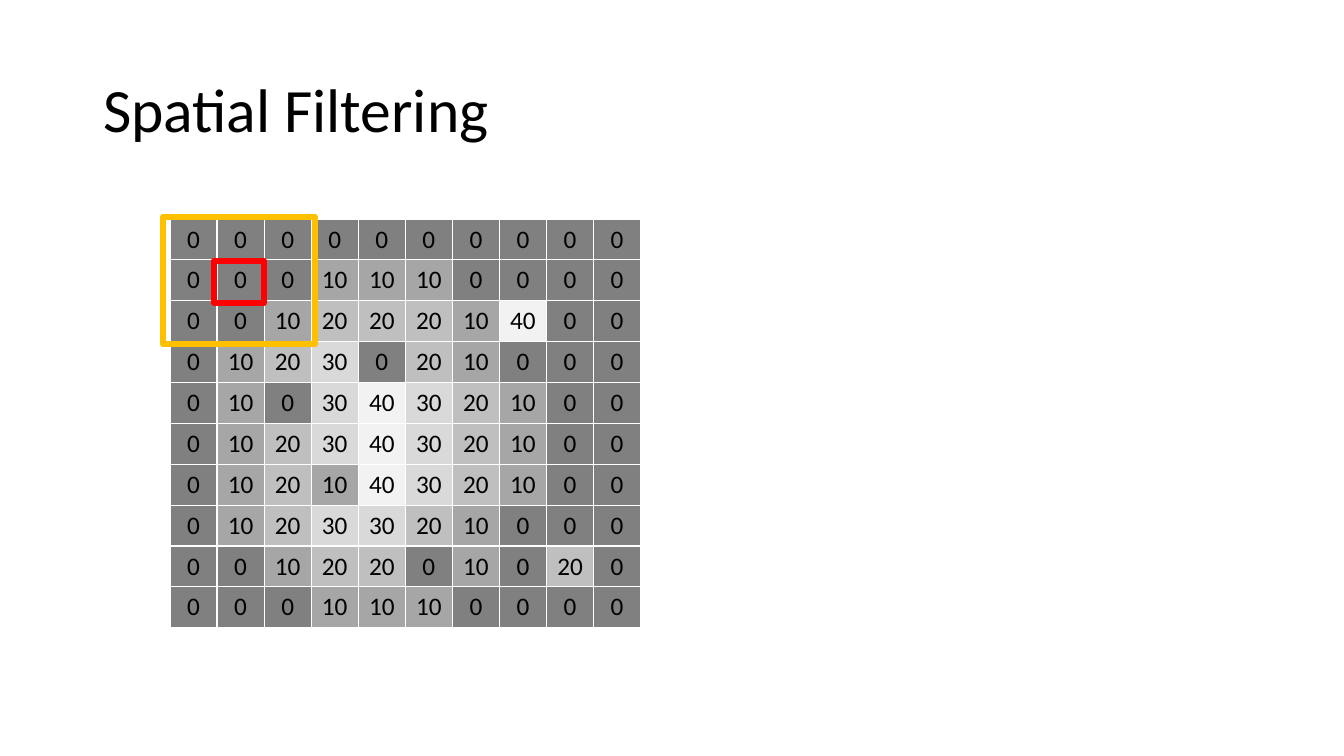
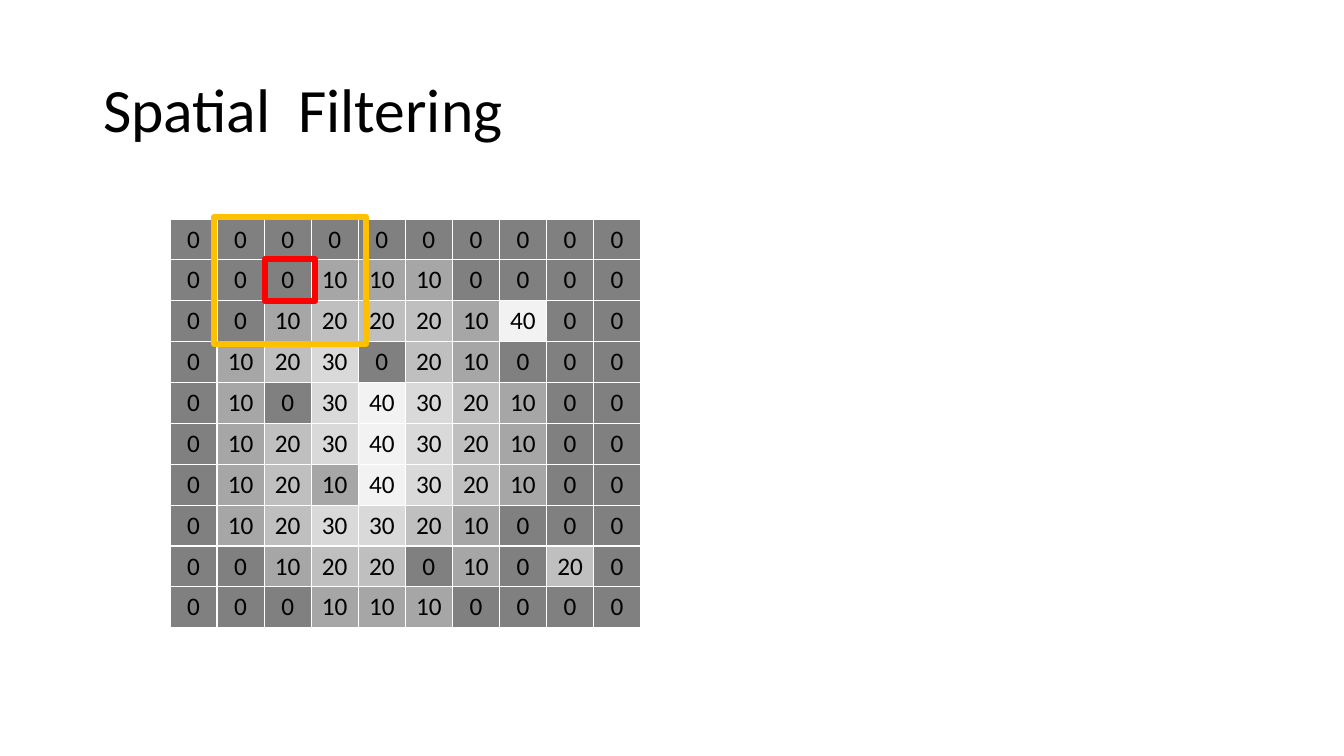
from pptx import Presentation
from pptx.dml.color import RGBColor
from pptx.enum.shapes import MSO_SHAPE as Shape
from pptx.enum.text import MSO_ANCHOR as Anchor, PP_ALIGN as Align
from pptx.oxml import parse_xml
from pptx.oxml.ns import nsdecls
from pptx.util import Emu, Pt

SCALE = 914400 / 100.8
FONT = "Calibri"
BLACK = RGBColor(0x00, 0x00, 0x00)
WHITE = RGBColor(0xFF, 0xFF, 0xFF)
RED = RGBColor(0xFF, 0x00, 0x00)
GOLD = RGBColor(0xFF, 0xC0, 0x00)
GRAYS = {
    0: RGBColor(0x80, 0x80, 0x80),
    10: RGBColor(0xA6, 0xA6, 0xA6),
    20: RGBColor(0xBF, 0xBF, 0xBF),
    30: RGBColor(0xD9, 0xD9, 0xD9),
    40: RGBColor(0xF2, 0xF2, 0xF2),
}
PIXELS = [
    [0, 0, 0, 0, 0, 0, 0, 0, 0, 0],
    [0, 0, 0, 10, 10, 10, 0, 0, 0, 0],
    [0, 0, 10, 20, 20, 20, 10, 40, 0, 0],
    [0, 10, 20, 30, 0, 20, 10, 0, 0, 0],
    [0, 10, 0, 30, 40, 30, 20, 10, 0, 0],
    [0, 10, 20, 30, 40, 30, 20, 10, 0, 0],
    [0, 10, 20, 10, 40, 30, 20, 10, 0, 0],
    [0, 10, 20, 30, 30, 20, 10, 0, 0, 0],
    [0, 0, 10, 20, 20, 0, 10, 0, 20, 0],
    [0, 0, 0, 10, 10, 10, 0, 0, 0, 0],
]
TITLE = (93, 40, 1159, 146)
GRID = (170, 219, 471, 403)
STEP = 51


def px(*sizes):
    """Turn pixel lengths into EMU."""
    return [Emu(round(size * SCALE)) for size in sizes]


def write(frame, text, size=18, color=BLACK, align=Align.LEFT, space=None):
    """Put one formatted paragraph in a text frame."""
    para = frame.paragraphs[0]
    para.alignment = align
    para.line_spacing = space
    run = para.add_run()
    run.text = text
    font = run.font
    font.name, font.size, font.bold = FONT, Pt(size), False
    font.color.rgb = color


def add_title(slide, box, text):
    """Place the title placeholder in its box."""
    title = slide.shapes.title
    title.left, title.top, title.width, title.height = px(*box)
    title.text_frame.vertical_anchor = Anchor.MIDDLE
    write(title.text_frame, text, size=44, space=0.9)


def edge_cell(cell, color, width=1):
    """Draw the four borders of a table cell."""
    props = cell._tc.get_or_add_tcPr()
    for spot, side in enumerate("LRTB"):
        props.insert(spot, parse_xml(
            f'<a:ln{side} {nsdecls("a")} w="{Pt(width)}"><a:solidFill>'
            f'<a:srgbClr val="{color}"/></a:solidFill></a:ln{side}>'))


def add_grid(slide, box, rows):
    """Show pixel values as a table shaded by brightness."""
    table = slide.shapes.add_table(len(rows), len(rows[0]), *px(*box)).table
    table.first_row = table.horz_banding = False
    for row, values in zip(table.rows, rows):
        for cell, value in zip(row.cells, values):
            cell.fill.solid()
            cell.fill.fore_color.rgb = GRAYS[value]
            edge_cell(cell, WHITE)
            write(cell.text_frame, str(value), align=Align.CENTER)


def add_frame(slide, box, color):
    """Draw an unfilled rectangle."""
    shape = slide.shapes.add_shape(Shape.RECTANGLE, *px(*box))
    shape.shadow.inherit = False
    shape.fill.background()
    shape.line.color.rgb = color
    shape.line.width = Pt(4.5)


def add_mask(slide, box, step, drop):
    """Mark the filter window and its centre, moved along the grid."""
    left, top = box[0] - 7 + step * STEP, box[1] - 2
    add_frame(slide, (left + STEP, top + drop, 50, 42), RED)
    add_frame(slide, (left, top, 152, 127), GOLD)


def add_slide(deck, text, step, drop):
    """Build one step of the filter."""
    slide = deck.slides.add_slide(deck.slide_layouts[5])
    add_title(slide, TITLE, text)
    add_grid(slide, GRID, PIXELS)
    add_mask(slide, GRID, step, drop)


def main():
    """Build and save the deck."""
    deck = Presentation()
    deck.slide_width, deck.slide_height = px(1344, 756)
    add_slide(deck, "Spatial Filtering", step=0, drop=44)
    add_slide(deck, "Spatial  Filtering", step=1, drop=42)
    deck.save("out.pptx")


if __name__ == "__main__":
    main()
